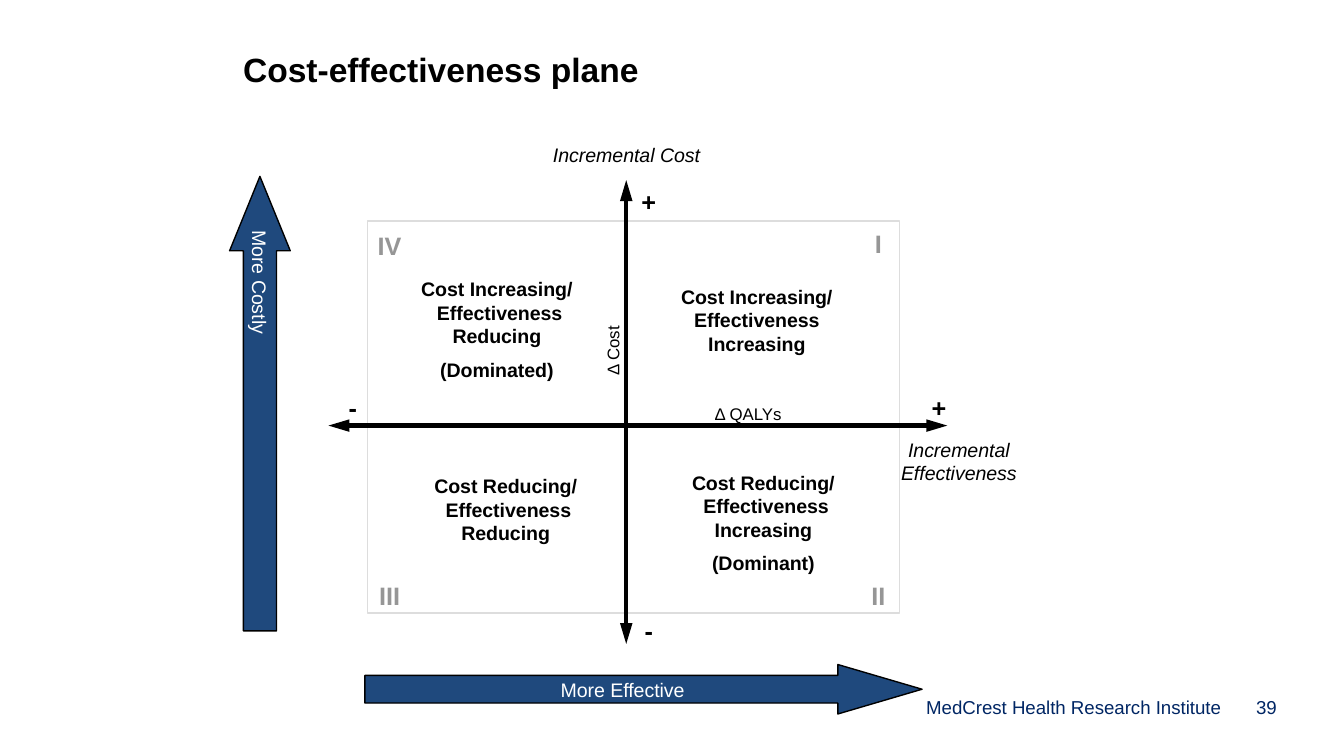
"""Build the cost-effectiveness plane slide."""
import pptx
import pptx.util
import pptx.dml.color
import pptx.enum.shapes
import pptx.enum.text
import pptx.oxml.ns
import lxml.etree

PX = 6350
BLACK = pptx.dml.color.RGBColor(0x00, 0x00, 0x00)
WHITE = pptx.dml.color.RGBColor(0xFF, 0xFF, 0xFF)
BLUE = pptx.dml.color.RGBColor(0x1F, 0x49, 0x7D)
NAVY = pptx.dml.color.RGBColor(0x00, 0x26, 0x64)
GRAY = pptx.dml.color.RGBColor(0x96, 0x96, 0x96)
PALE = pptx.dml.color.RGBColor(0xDD, 0xDD, 0xDD)

CENTER = pptx.enum.text.PP_ALIGN.CENTER
LEFT = pptx.enum.text.PP_ALIGN.LEFT
RIGHT = pptx.enum.text.PP_ALIGN.RIGHT
TOP = pptx.enum.text.MSO_ANCHOR.TOP
MIDDLE = pptx.enum.text.MSO_ANCHOR.MIDDLE
SHAPES = pptx.enum.shapes.MSO_SHAPE
qn = pptx.oxml.ns.qn


def px(*lengths):
    return [length * PX for length in lengths]


def write(holder, text, size=10.5, color=BLACK, bold=False, italic=False,
          align=CENTER, anchor=TOP, wrap=True, inset=True):
    frame = holder.text_frame
    frame.text = text
    frame.word_wrap = wrap
    frame.auto_size = pptx.enum.text.MSO_AUTO_SIZE.NONE
    frame.vertical_anchor = anchor
    frame.margin_left = frame.margin_right = pptx.util.Inches(0.1 if inset else 0)
    frame.margin_top = frame.margin_bottom = pptx.util.Inches(0.05 if inset else 0)
    for index, paragraph in enumerate(frame.paragraphs):
        paragraph.alignment = align
        paragraph.space_before = pptx.util.Pt(5.25 if index else 0)
        for run in paragraph.runs:
            run.font.name = "Arial"
            run.font.size = pptx.util.Pt(size)
            run.font.bold = bold
            run.font.italic = italic
            run.font.color.rgb = color


deck = pptx.Presentation()
deck.slide_width, deck.slide_height = px(1440, 810)
slide = deck.slides.add_slide(deck.slide_layouts[5])

title = slide.shapes.title
title.left, title.top, title.width, title.height = px(246, 45, 842, 58)
write(title, "Cost-effectiveness plane", size=18, bold=True, align=LEFT)

plane = slide.shapes.add_shape(SHAPES.RECTANGLE, *px(394, 237, 570, 420))
plane.shadow.inherit = False
plane.fill.solid()
plane.fill.fore_color.rgb = WHITE
plane_color = plane.element.spPr.find(qn("a:solidFill"))[0]
lxml.etree.SubElement(plane_color, qn("a:alpha"), val="82000")
plane.line.color.rgb = PALE
plane.line.width = pptx.util.Pt(0.75)

for ends in [(352, 456, 1015, 456), (671, 193, 671, 690)]:
    axis = slide.shapes.add_connector(
        pptx.enum.shapes.MSO_CONNECTOR.STRAIGHT, *px(*ends))
    axis.line.color.rgb = BLACK
    axis.line.width = pptx.util.Pt(2.25)
    stroke = axis.element.spPr.find(qn("a:ln"))
    for end in ("a:headEnd", "a:tailEnd"):
        lxml.etree.SubElement(stroke, qn(end), type="triangle", w="med", len="lg")
    lxml.etree.SubElement(axis.element.spPr, qn("a:effectLst"))

axis_name = dict(italic=True)
sign = dict(size=13.5, bold=True)
quadrant = dict(bold=True)
numeral = dict(size=13.5, bold=True, color=GRAY)
delta = dict(size=9, inset=False)
footer = dict(size=10, color=NAVY, align=RIGHT, inset=False)

labels = [
    ("MedCrest Health Research Institute", (769, 746, 539, 24), footer),
    ("39", (1326, 746, 42, 24), footer),
    ("Incremental Cost", (564, 146, 215, 40), axis_name),
    ("Incremental Effectiveness", (920, 462, 215, 65), axis_name),
    ("+", (984, 413, 45, 48), dict(sign, align=LEFT, wrap=False)),
    ("+", (671, 192, 48, 48), sign),
    ("-", (671, 652, 48, 48), sign),
    ("-", (354, 413, 48, 48), sign),
    ("Cost Increasing/\vEffectiveness Increasing", (691, 298, 240, 91), quadrant),
    ("Cost Reducing/\v Effectiveness Increasing\n(Dominant)",
     (702, 497, 232, 130), quadrant),
    ("Cost Reducing/\v Effectiveness Reducing", (439, 501, 206, 91), quadrant),
    ("Cost Increasing/\v Effectiveness Reducing\n(Dominated)",
     (413, 290, 239, 130), quadrant),
    ("Δ Cost", (611, 365, 91, 22), delta),
    ("Δ QALYs", (756, 433, 91, 22), delta),
    ("I", (917, 238, 48, 48), numeral),
    ("II", (917, 615, 48, 48), numeral),
    ("III", (390, 615, 55, 48), numeral),
    ("IV", (390, 240, 55, 48), numeral),
]
for text, place, look in labels:
    label = slide.shapes.add_textbox(*px(*place))
    write(label, text, **look)
    if text == "Δ Cost":
        label.rotation = 270

directions = [
    ("More Costly", SHAPES.UP_ARROW, (246, 189, 65, 487), (0.546, 1.227), "eaVert"),
    (" More Effective", SHAPES.RIGHT_ARROW, (391, 712, 597, 53), (0.558, 1.702),
     "horz"),
]
for text, preset, place, proportions, flow in directions:
    direction = slide.shapes.add_shape(preset, *px(*place))
    direction.shadow.inherit = False
    direction.adjustments[0], direction.adjustments[1] = proportions
    direction.fill.solid()
    direction.fill.fore_color.rgb = BLUE
    direction.line.color.rgb = BLACK
    direction.line.width = pptx.util.Pt(0.75)
    write(direction, text, color=WHITE, anchor=MIDDLE, wrap=False)
    direction.element.txBody.find(qn("a:bodyPr")).set("vert", flow)

deck.save("out.pptx")
